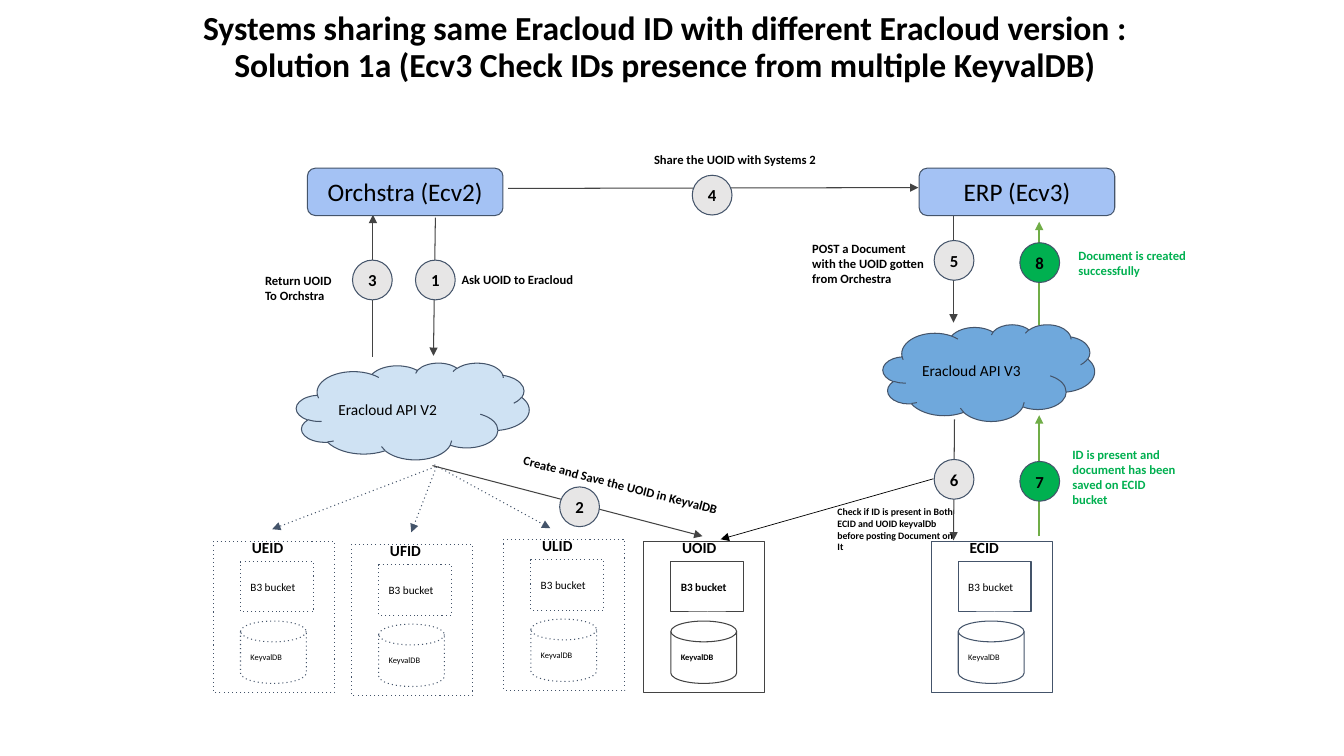
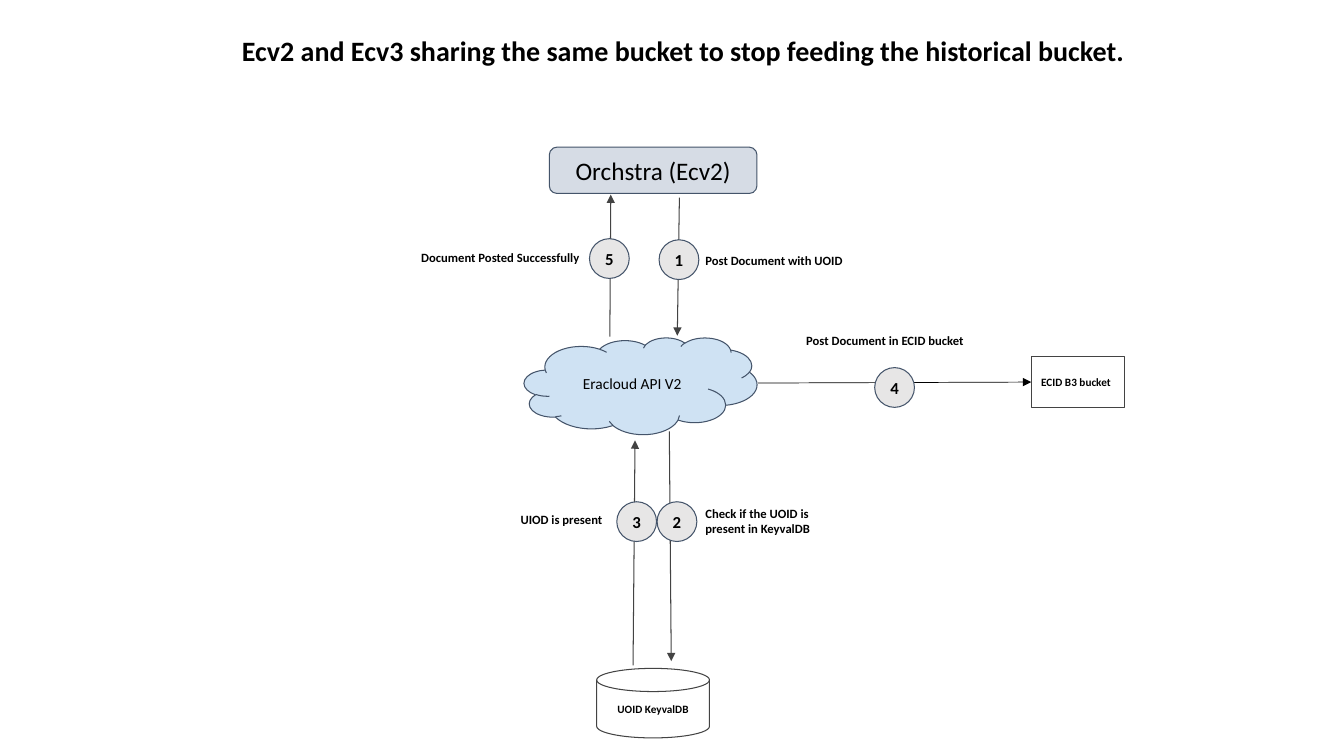
"""Build two slides that trace how IDs and documents move between system versions."""
from dataclasses import dataclass

from lxml.etree import SubElement
from pptx import Presentation
from pptx.dml.color import RGBColor
from pptx.enum.shapes import MSO_CONNECTOR, MSO_SHAPE
from pptx.enum.text import MSO_ANCHOR, PP_ALIGN
from pptx.oxml.ns import qn
from pptx.util import Pt


@dataclass(frozen=True)
class Theme:
    font: str = "Calibri"
    black: str = "000000"
    outline: str = "44546A"
    dark: str = "434343"
    step: str = "E7E6E6"
    done: str = "00B050"
    done_arrow: str = "70AD47"
    system: str = "A4C2F4"
    system_muted: str = "D6DCE5"
    cloud_v2: str = "CFE2F3"
    cloud_v3: str = "6FA8DC"
    title_size: float = 24
    long_title_size: float = 20
    system_size: float = 18
    number_size: float = 12
    name_size: float = 11
    label_size: float = 9
    bucket_size: float = 8
    note_size: float = 7
    database_size: float = 6
    line: float = 0.75
    done_line: float = 1
    thin_line: float = 0.5
    inset: float = 7.2
    step_diameter: float = 28.4


THEME = Theme()

ARROW_STYLES = {
    "plain": (THEME.dark, THEME.line, False),
    "dotted": (THEME.outline, THEME.line, True),
    "done": (THEME.done_arrow, THEME.done_line, False),
    "thin": (THEME.black, THEME.thin_line, False),
}

STORE_STYLES = {
    "unused": (THEME.outline, True, False),
    "target": (THEME.dark, False, True),
    "new": (THEME.outline, False, False),
}

SHARING = {
    "title": ("Systems sharing same Eracloud ID with different Eracloud version :\n"
              "Solution 1a (Ecv3 Check IDs presence from multiple KeyvalDB)",
              THEME.title_size, (0, 7.4, 950, 54)),
    "stores": [
        ("UEID", 152.6, 386.6, "unused"),
        ("UFID", 251.3, 388.8, "unused"),
        ("ULID", 360, 385.2, "unused"),
        ("UOID", 460, 386.6, "target"),
        ("ECID", 665.3, 386.6, "new"),
    ],
    "arrows": [
        ((311, 333.4), (194.4, 378), "dotted"),
        ((311.8, 333.4), (293.8, 380.2), "dotted"),
        ((310.3, 332), (393.1, 377.3), "dotted"),
        ((308.9, 332.6), (501.8, 383), "plain"),
        ((681.8, 299.5), (681.1, 386), "plain"),
        ((311, 155.5), (309.6, 254.2), "plain"),
        ((362.9, 134.6), (656, 134), "plain"),
        ((681.1, 152.6), (681.1, 230.4), "plain"),
        ((266.4, 254.9), (266.4, 153.4), "plain"),
        ((742.3, 383), (742.3, 296.6), "done"),
        ((742.3, 231.8), (742.3, 158.4), "done"),
        ((666.7, 342), (514.8, 385.2), "thin"),
    ],
    "clouds": [
        ("Eracloud API V2", (211.7, 259.2, 166.3, 69.1), THEME.cloud_v2, PP_ALIGN.LEFT),
        ("Eracloud API V3", (630.7, 231.8, 151.2, 69.1), THEME.cloud_v3, PP_ALIGN.LEFT),
    ],
    "systems": [
        ("Orchstra (Ecv2)", (219.6, 120.2, 139.7, 33.8), THEME.system),
        ("ERP (Ecv3)", (656.6, 120.2, 139.7, 33.8), THEME.system),
    ],
    "steps": [
        (1, 311, 200, THEME.step), (2, 414, 362, THEME.step),
        (3, 266, 200, THEME.step), (4, 508.7, 139.4, THEME.step),
        (5, 681.5, 186, THEME.step), (6, 681.5, 342.4, THEME.step),
        (7, 742.7, 343.8, THEME.done), (8, 742.7, 187.6, THEME.done),
    ],
    "labels": [
        ("Create and Save the UOID in KeyvalDB", (362.9, 337, 171.4, 36),
         {"rotation": 14.4}),
        ("POST a Document with the UOID gotten from Orchestra", (573.1, 164.9, 97.9, 47.5), {}),
        ("Ask UOID to Eracloud", (322.6, 188.6, 139.7, 36), {}),
        ("Share the UOID with Systems 2", (460.1, 103, 146.2, 25.2), {}),
        ("Return UOID\nTo Orchstra", (182.2, 187.9, 80.6, 36), {}),
        ("Check if ID is present in Both ECID and UOID keyvalDb before posting Document on It",
         (591.1, 354.2, 97.9, 48.2), {"size": THEME.note_size}),
        ("ID is present and document has been saved on ECID bucket",
         (758.9, 311.8, 90, 58.3), {"color": THEME.done}),
        ("Document is created successfully", (763.2, 169.9, 129.6, 36), {"color": THEME.done}),
    ],
}

SAME_BUCKET = {
    "title": ("Ecv2 and Ecv3 sharing the same bucket to stop feeding the historical bucket.",
              THEME.long_title_size, (122, 15.1, 732, 44.6)),
    "arrows": [
        ((485.3, 141.1), (483.8, 239.8), "plain"),
        ((435.6, 240.5), (436.3, 139), "plain"),
        ((478.1, 308.2), (479.5, 472.3), "plain"),
        ((452.2, 475.2), (453.6, 314.6), "plain"),
        ((541.4, 273.6), (736.6, 272.9), "thin"),
    ],
    "clouds": [("Eracloud API V2", (374.4, 241.2, 166.3, 69.1), THEME.cloud_v2, PP_ALIGN.CENTER)],
    "systems": [("Orchstra (Ecv2)", (392.4, 105.1, 148.3, 33.1), THEME.system_muted)],
    "buckets": [("ECID B3 bucket", (736.6, 254.9, 67, 36))],
    "databases": [("UOID KeyvalDB", (426.2, 477.4, 80.6, 49.7))],
    "steps": [
        (1, 485, 185.5, THEME.step), (2, 483.6, 372.6, THEME.step),
        (3, 454.8, 372.6, THEME.step), (4, 639, 276.8, THEME.step),
        (5, 435.3, 184.7, THEME.step),
    ],
    "labels": [
        ("Post Document with UOID", (496.8, 175, 139.7, 36), {}),
        ("Document Posted Successfully", (293.8, 173, 129.6, 36), {}),
        ("Check if the UOID is present in KeyvalDB", (496.8, 354.2, 97.9, 36), {}),
        ("UIOD is present", (352.1, 360, 97.9, 25.2), {"align": PP_ALIGN.CENTER}),
        ("Post Document in ECID bucket", (568.8, 232.5, 139.7, 36), {}),
    ],
}


def write(shape, text, size, bold=False, color=THEME.black, align=PP_ALIGN.LEFT,
          anchor=MSO_ANCHOR.MIDDLE, inset=THEME.inset, spacing=None):
    frame = shape.text_frame
    frame.word_wrap = True
    frame.vertical_anchor = anchor
    frame.margin_left = frame.margin_right = Pt(inset)
    frame.margin_top = frame.margin_bottom = Pt(inset)
    frame.text = text
    for paragraph in frame.paragraphs:
        paragraph.alignment = align
        paragraph.line_spacing = spacing
        font = paragraph.font
        font.name, font.size, font.bold = THEME.font, Pt(size), bold
        font.color.rgb = RGBColor.from_string(color)


def stroke(part, color, width, dotted=False):
    part.line.color.rgb = RGBColor.from_string(color)
    part.line.width = Pt(width)
    outline = part._element.spPr.find(qn("a:ln"))
    if dotted:
        SubElement(outline, qn("a:prstDash"), val="dot")
    return outline


def add_part(slide, preset, box, fill=None, color=THEME.outline, dotted=False):
    part = slide.shapes.add_shape(preset, *map(Pt, box))
    part.shadow.inherit = False
    if fill:
        part.fill.solid()
        part.fill.fore_color.rgb = RGBColor.from_string(fill)
    else:
        part.fill.background()
    stroke(part, color, THEME.line, dotted)
    return part


def add_label(slide, text, box, size=THEME.label_size, rotation=0, **style):
    label = slide.shapes.add_textbox(*map(Pt, box))
    label.rotation = rotation
    write(label, text, size, **{"bold": True, "anchor": MSO_ANCHOR.TOP, **style})


def add_arrow(slide, start, end, style):
    arrow = slide.shapes.add_connector(MSO_CONNECTOR.STRAIGHT, *map(Pt, start + end))
    SubElement(stroke(arrow, *ARROW_STYLES[style]), qn("a:tailEnd"), type="triangle")
    SubElement(arrow._element.spPr, qn("a:effectLst"))


def add_store(slide, name, left, top, style):
    color, dotted, bold = STORE_STYLES[style]
    add_part(slide, MSO_SHAPE.RECTANGLE, (left, top, 86.4, 108), None, color, dotted)
    bucket = add_part(slide, MSO_SHAPE.RECTANGLE, (left + 19.2, top + 14.6, 52, 36),
                      None, color, dotted)
    write(bucket, "B3 bucket", THEME.bucket_size, bold)
    database = add_part(slide, MSO_SHAPE.FLOWCHART_MAGNETIC_DISK,
                        (left + 19.2, top + 57, 47, 44.6), None, color, dotted)
    write(database, "KeyvalDB", THEME.database_size, bold)
    add_label(slide, name, (left + 20.2, top - 8.6, 44, 28), THEME.name_size)


def add_step(slide, number, center_x, center_y, fill):
    size = THEME.step_diameter
    step = add_part(slide, MSO_SHAPE.OVAL,
                    (center_x - size / 2, center_y - size / 2, size, size), fill)
    write(step, str(number), THEME.number_size, True, align=PP_ALIGN.CENTER, inset=0)


def build_slide(deck, content):
    slide = deck.slides.add_slide(deck.slide_layouts[6])
    title, title_size, title_box = content["title"]
    add_label(slide, title, title_box, title_size, align=PP_ALIGN.CENTER,
              anchor=MSO_ANCHOR.MIDDLE, inset=0, spacing=0.9)
    for store in content.get("stores", []):
        add_store(slide, *store)
    for arrow in content["arrows"]:
        add_arrow(slide, *arrow)
    for name, box, fill, align in content["clouds"]:
        write(add_part(slide, MSO_SHAPE.CLOUD, box, fill), name, THEME.name_size, align=align)
    for name, box, fill in content["systems"]:
        system = add_part(slide, MSO_SHAPE.FLOWCHART_ALTERNATE_PROCESS, box, fill)
        write(system, name, THEME.system_size, align=PP_ALIGN.CENTER)
    for name, box in content.get("buckets", []):
        bucket = add_part(slide, MSO_SHAPE.RECTANGLE, box, color=THEME.dark)
        write(bucket, name, THEME.bucket_size, True)
    for name, box in content.get("databases", []):
        database = add_part(slide, MSO_SHAPE.FLOWCHART_MAGNETIC_DISK, box, color=THEME.dark)
        write(database, name, THEME.bucket_size, True, align=PP_ALIGN.CENTER)
    for step in content["steps"]:
        add_step(slide, *step)
    for text, box, style in content["labels"]:
        add_label(slide, text, box, **style)


def main():
    deck = Presentation()
    deck.slide_width, deck.slide_height = Pt(960), Pt(540)
    for content in (SHARING, SAME_BUCKET):
        build_slide(deck, content)
    deck.save("out.pptx")


if __name__ == "__main__":
    main()
